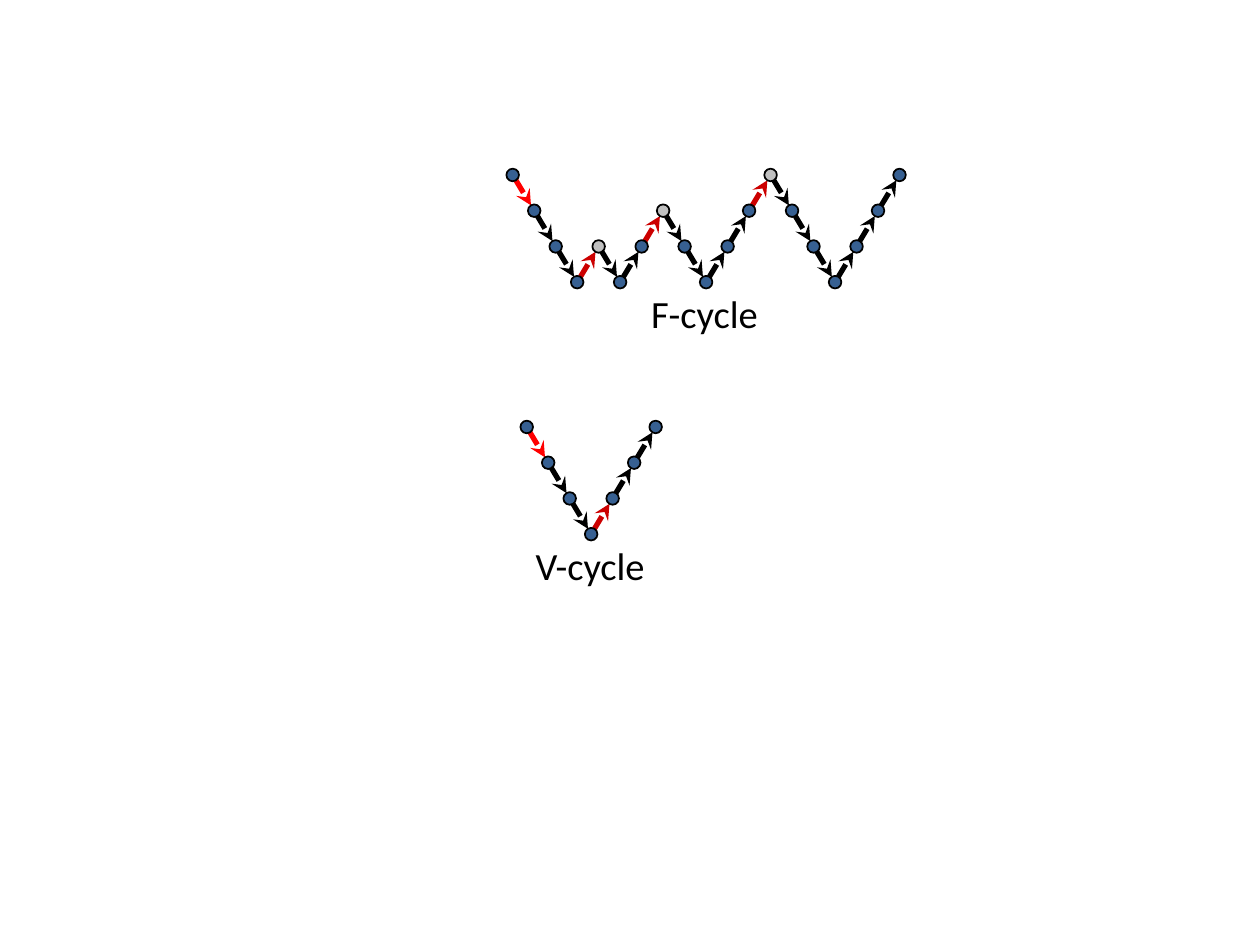
"""Builds a slide comparing the F-cycle and V-cycle of a multigrid solver."""
from itertools import pairwise

from lxml.etree import SubElement
from pptx import Presentation
from pptx.dml.color import RGBColor
from pptx.enum.shapes import MSO_CONNECTOR, MSO_SHAPE
from pptx.enum.text import PP_ALIGN
from pptx.oxml.ns import qn
from pptx.util import Pt

BLACK, RED, DARK_RED, BLUE, GREY = "000000", "FF0000", "CC0000", "376092", "C0C0C0"
STEP, DROP, NODE, GAP = 12.28, 20.42, 7.2, 0.15

CYCLES = [
    {
        "name": "F-cycle",
        "start": (293, 100),
        "levels": [0, 1, 2, 3, 2, 3, 2, 1, 2, 3, 2, 1, 0, 1, 2, 3, 2, 1, 0],
        "grey_nodes": [4, 7, 12],
        "arrows": {0: RED, 3: DARK_RED, 6: DARK_RED, 11: DARK_RED},
        "label": (288, 162, 229, 34),
        "align": PP_ALIGN.CENTER,
        "wrap": True,
    },
    {
        "name": "V-cycle",
        "start": (301, 244),
        "levels": [0, 1, 2, 3, 2, 1, 0],
        "grey_nodes": [],
        "arrows": {0: RED, 3: DARK_RED},
        "label": (299, 306, 79, 34),
        "align": PP_ALIGN.LEFT,
        "wrap": False,
    },
]


def paint(color_format, value):
    color_format.rgb = RGBColor.from_string(value)


def add_arrow(slide, begin, end, color):
    (x1, y1), (x2, y2) = begin, end
    dx, dy = GAP * (x2 - x1), GAP * (y2 - y1)
    arrow = slide.shapes.add_connector(
        MSO_CONNECTOR.STRAIGHT, Pt(x1 + dx), Pt(y1 + dy), Pt(x2 - dx), Pt(y2 - dy))
    paint(arrow.line.color, color)
    arrow.line.width = Pt(3)
    SubElement(arrow.line._get_or_add_ln(), qn("a:tailEnd"), type="stealth")
    SubElement(arrow._element.spPr, qn("a:effectLst"))


def add_node(slide, center, color):
    x, y = center
    node = slide.shapes.add_shape(
        MSO_SHAPE.OVAL, Pt(x - NODE / 2), Pt(y - NODE / 2), Pt(NODE), Pt(NODE))
    node.shadow.inherit = False
    node.fill.solid()
    paint(node.fill.fore_color, color)
    paint(node.line.color, BLACK)
    node.line.width = Pt(1)


def add_label(slide, cycle):
    label = slide.shapes.add_textbox(*map(Pt, cycle["label"])).text_frame
    label.word_wrap = cycle["wrap"]
    name = label.paragraphs[0]
    name.text = cycle["name"]
    name.alignment = cycle["align"]
    name.font.name = "Calibri"
    name.font.size = Pt(22)
    paint(name.font.color, BLACK)


def add_cycle(slide, cycle):
    left, top = cycle["start"]
    centers = [(left + i * STEP, top + level * DROP)
               for i, level in enumerate(cycle["levels"])]
    for i, (begin, end) in enumerate(pairwise(centers)):
        add_arrow(slide, begin, end, cycle["arrows"].get(i, BLACK))
    for i, center in enumerate(centers):
        add_node(slide, center, GREY if i in cycle["grey_nodes"] else BLUE)
    add_label(slide, cycle)


deck = Presentation()
deck.slide_width, deck.slide_height = Pt(720), Pt(540)
cycles_slide = deck.slides.add_slide(deck.slide_layouts[6])
for cycle in CYCLES:
    add_cycle(cycles_slide, cycle)
deck.save("out.pptx")
